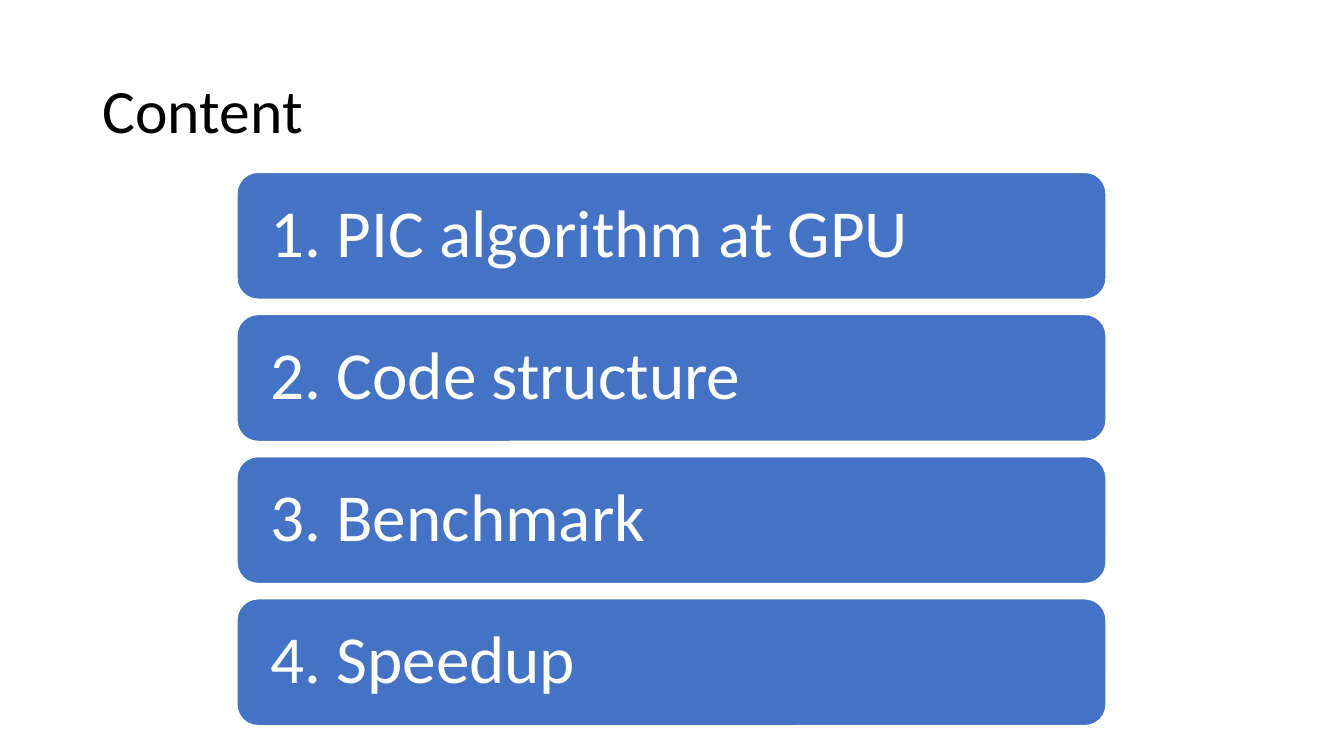
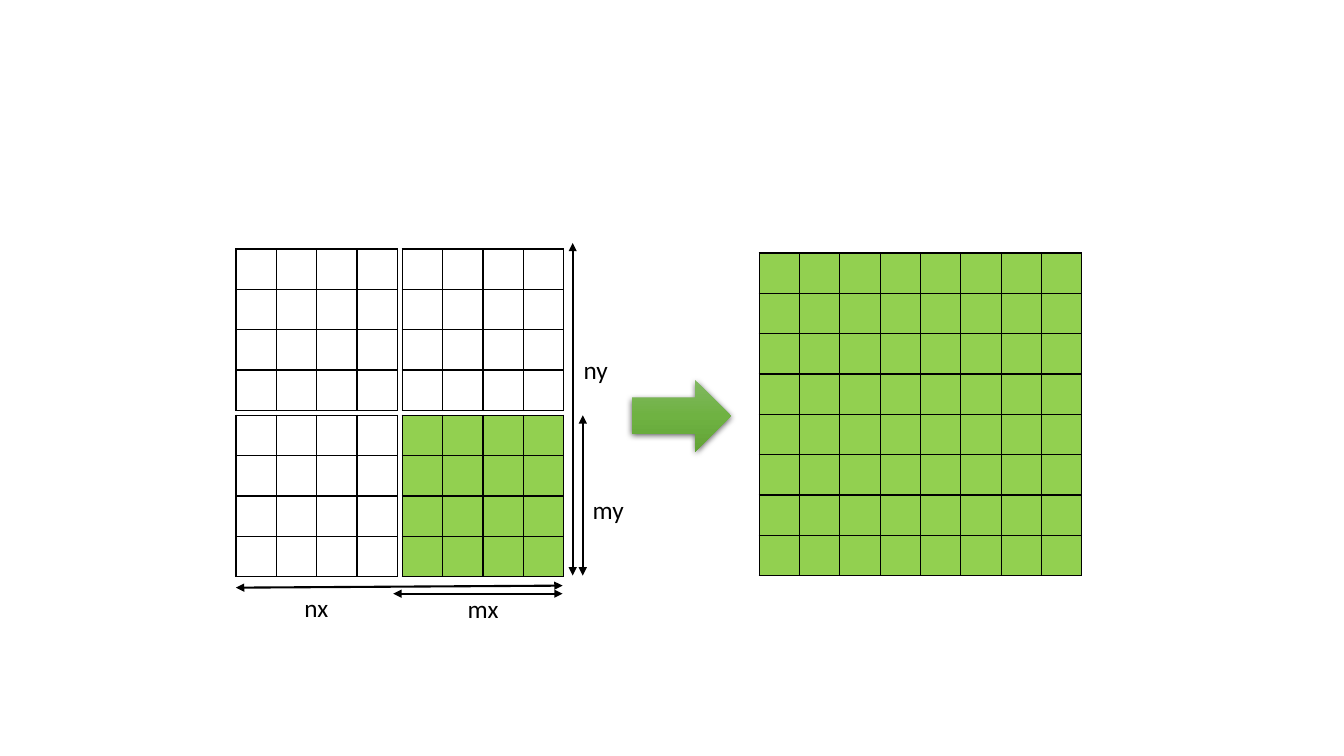
"""Build a two-slide deck: a contents list and a tiled-grid diagram."""
from itertools import product

from lxml.etree import SubElement
from pptx import Presentation
from pptx.dml.color import RGBColor
from pptx.enum.shapes import MSO_CONNECTOR as CONNECTOR, MSO_SHAPE as SHAPE
from pptx.enum.text import MSO_ANCHOR as ANCHOR, PP_ALIGN as ALIGN
from pptx.oxml.ns import qn
from pptx.util import Inches, Pt

FONT = "Calibri"
BLACK, WHITE, BLUE, GREEN = "000000", "FFFFFF", "4472C4", "92D050"

TITLE = "Content"
TOPICS = ["1. PIC algorithm at GPU", "2. Code structure", "3. Benchmark", "4. Speedup"]
TOPIC_LEFT, TOPIC_TOP, TOPIC_WIDTH, TOPIC_HEIGHT, TOPIC_PITCH = 2.35, 1.71, 8.62, 1.26, 1.41

CELL = 0.4
TILE_LEFT, TILE_TOP, TILE_CELLS, TILE_PITCH = 2.34, 2.47, 4, 1.65
TILE_FILLS = [[None, None], [None, GREEN]]
FULL_LEFT, FULL_TOP, FULL_CELLS = 7.53, 2.51, 8
DIMENSIONS = [
    ("nx", (2.92, 5.83), (2.34, 5.83), (5.58, 5.81)),
    ("mx", (4.54, 5.84), (3.9, 5.89), (5.58, 5.89)),
    ("ny", (5.69, 3.47), (5.68, 2.41), (5.68, 5.71)),
    ("my", (5.78, 4.85), (5.78, 4.12), (5.78, 5.71)),
]
ARROW_BOX = (6.27, 3.77, 0.98, 0.71)
ARROW_STOPS = [(0, "81B861"), (50, "6FB242"), (100, "62A336")]


def rgb(value):
    return RGBColor.from_string(value)


def inches(values):
    return [Inches(value) for value in values]


def add_xml(parent, tag, **attributes):
    return SubElement(parent, qn(tag), {key: str(value) for key, value in attributes.items()})


def write(frame, text, size, color, anchor=ANCHOR.TOP, line_spacing=1.0):
    frame.text = text
    frame.word_wrap = True
    frame.vertical_anchor = anchor
    paragraph = frame.paragraphs[0]
    paragraph.alignment = ALIGN.LEFT
    paragraph.line_spacing = line_spacing
    font = paragraph.runs[0].font
    font.name, font.size, font.color.rgb = FONT, Pt(size), rgb(color)


def add_label(slide, box, text, size, **style):
    label = slide.shapes.add_textbox(*inches(box))
    write(label.text_frame, text, size, BLACK, **style)


def add_topic(slide, top, text):
    card = slide.shapes.add_shape(
        SHAPE.ROUNDED_RECTANGLE, *inches((TOPIC_LEFT, top, TOPIC_WIDTH, TOPIC_HEIGHT)))
    card.shadow.inherit = False
    card.fill.solid()
    card.fill.fore_color.rgb = rgb(BLUE)
    card.line.color.rgb = rgb(WHITE)
    card.line.width = Pt(1)
    card.text_frame.margin_left = card.text_frame.margin_right = Inches(0.27)
    write(card.text_frame, text, 48, WHITE, ANCHOR.MIDDLE, 0.9)


def style_cell(cell, fill):
    cell.margin_left = cell.margin_right = cell.margin_top = cell.margin_bottom = 0
    properties = cell._tc.get_or_add_tcPr()
    for side in ("a:lnL", "a:lnR", "a:lnT", "a:lnB"):
        border = add_xml(properties, side, w=Pt(1))
        add_xml(add_xml(border, "a:solidFill"), "a:srgbClr", val=BLACK)
    if fill:
        cell.fill.solid()
        cell.fill.fore_color.rgb = rgb(fill)
    else:
        cell.fill.background()


def add_grid(slide, left, top, count, fill):
    side = count * CELL
    grid = slide.shapes.add_table(count, count, *inches((left, top, side, side))).table
    grid.first_row = grid.horz_banding = False
    for column in grid.columns:
        column.width = Inches(CELL)
    for row in grid.rows:
        row.height = Inches(CELL)
    for cell in grid.iter_cells():
        style_cell(cell, fill)


def add_dimension(slide, start, end):
    ruler = slide.shapes.add_connector(CONNECTOR.STRAIGHT, *inches(start + end))
    ruler.line.color.rgb = rgb(BLACK)
    ruler.line.width = Pt(1.5)
    outline = ruler.line._get_or_add_ln()
    for tip in ("a:headEnd", "a:tailEnd"):
        add_xml(outline, tip, type="triangle")
    add_xml(ruler._element.spPr, "a:effectLst")


def add_block_arrow(slide):
    arrow = slide.shapes.add_shape(SHAPE.RIGHT_ARROW, *inches(ARROW_BOX))
    arrow.line.fill.background()
    arrow.fill.gradient()
    arrow.fill.gradient_angle = 270
    properties = arrow._element.spPr
    stops = properties.find(".//" + qn("a:gsLst"))
    for stop in list(stops):
        stops.remove(stop)
    for position, color in ARROW_STOPS:
        add_xml(add_xml(stops, "a:gs", pos=position * 1000), "a:srgbClr", val=color)
    arrow.shadow.inherit = False
    shadow = add_xml(properties.find(qn("a:effectLst")), "a:outerShdw", blurRad=Pt(4.5),
                     dist=Pt(1.5), dir=90 * 60000, algn="ctr", rotWithShape=0)
    add_xml(add_xml(shadow, "a:srgbClr", val=BLACK), "a:alpha", val=63000)


def build_contents(slide):
    add_label(slide, (0.92, 0.4, 11.5, 1.45), TITLE, 44, anchor=ANCHOR.MIDDLE, line_spacing=0.9)
    for index, topic in enumerate(TOPICS):
        add_topic(slide, TOPIC_TOP + index * TOPIC_PITCH, topic)


def build_tiling(slide):
    for row, column in product(range(2), repeat=2):
        add_grid(slide, TILE_LEFT + column * TILE_PITCH, TILE_TOP + row * TILE_PITCH,
                 TILE_CELLS, TILE_FILLS[row][column])
    for name, position, start, end in DIMENSIONS:
        add_dimension(slide, start, end)
        add_label(slide, position + (0.72, 0.4), name, 18)
    add_grid(slide, FULL_LEFT, FULL_TOP, FULL_CELLS, GREEN)
    add_block_arrow(slide)


def main():
    deck = Presentation()
    deck.slide_width, deck.slide_height = inches((13.33, 7.5))
    for build in (build_contents, build_tiling):
        build(deck.slides.add_slide(deck.slide_layouts[6]))
    deck.save("out.pptx")


if __name__ == "__main__":
    main()
